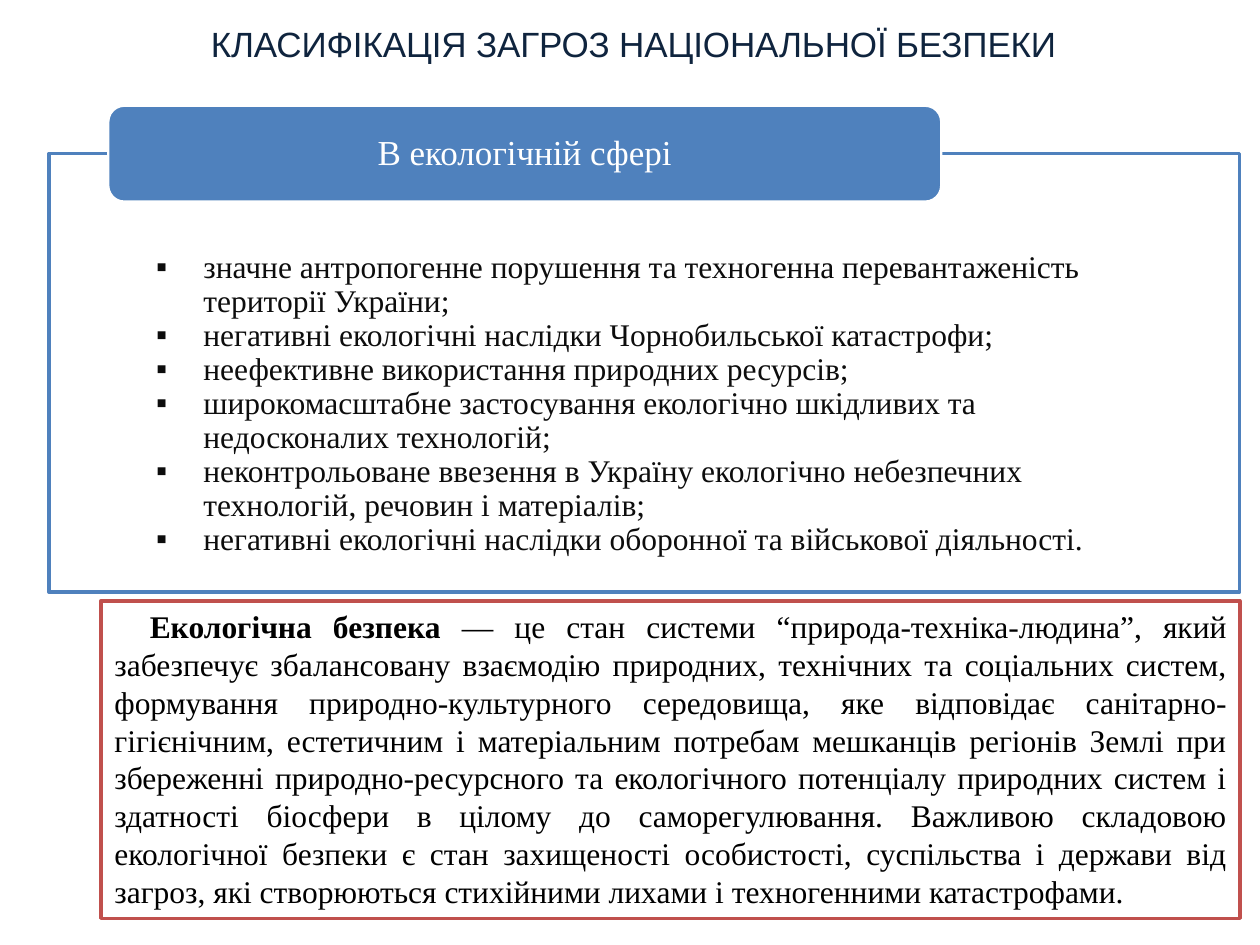
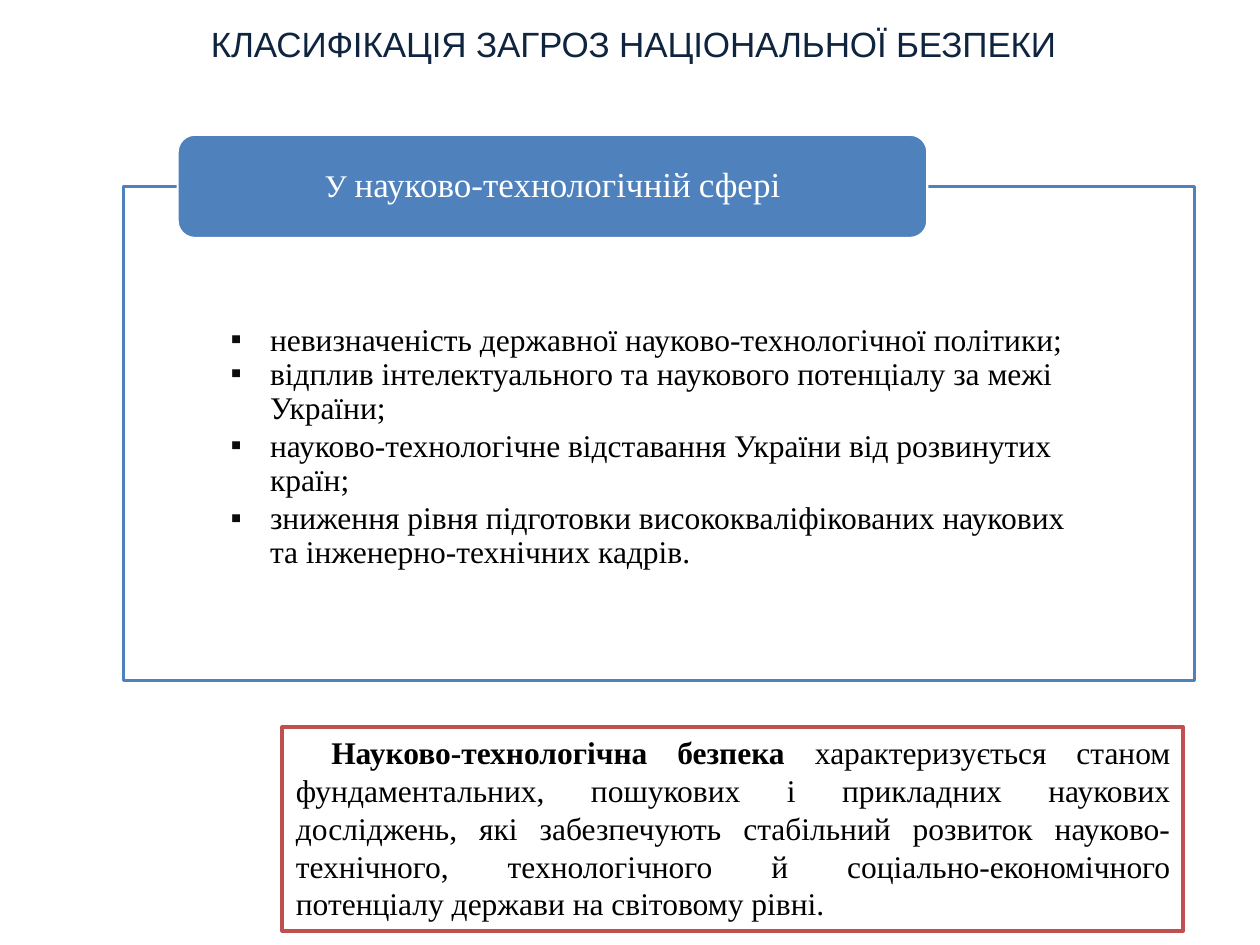
from dataclasses import dataclass

from lxml.etree import SubElement
from pptx import Presentation
from pptx.dml.color import RGBColor
from pptx.enum.shapes import MSO_SHAPE
from pptx.enum.text import MSO_ANCHOR, MSO_AUTO_SIZE, PP_ALIGN
from pptx.oxml.ns import qn
from pptx.util import Pt

COLORS = {
    "title": "0F243E",
    "blue": "4F81BD",
    "red": "C0504D",
    "white": "FFFFFF",
    "black": "000000",
    "soft_black": "0D0D0D",
    "bullet": "0C0C0C",
}
TITLE = "КЛАСИФІКАЦІЯ ЗАГРОЗ НАЦІОНАЛЬНОЇ БЕЗПЕКИ"
TITLE_FONT = "Arial"
BODY_FONT = "Times New Roman"
BODY_SIZE = 18
HEADING_SIZE = 20
LINE_SPACING = 0.9


@dataclass(frozen=True)
class Area:
    left: float
    top: float
    width: float
    height: float

    def lengths(self):
        return Pt(self.left), Pt(self.top), Pt(self.width), Pt(self.height)


@dataclass(frozen=True)
class Span:
    text: str
    size: float = BODY_SIZE
    color: str = "black"
    bold: bool = False
    font: str = BODY_FONT


@dataclass(frozen=True)
class Threat:
    text: str
    space_before: float = 0


@dataclass(frozen=True)
class Sphere:
    heading_area: Area
    heading: tuple[Span, ...]
    panel_area: Area
    panel_margins: tuple[float, float, float, float]
    threats: tuple[Threat, ...]
    threat_color: str
    hanging: float
    definition_area: Area
    term: str
    definition: str


SPHERES = (
    Sphere(
        heading_area=Area(61.9, 60.5, 475.9, 54.7),
        heading=(Span("В екологічній сфері", HEADING_SIZE, "white"),),
        panel_area=Area(28, 87.8, 680.4, 250.6),
        panel_margins=(61.2, 47.5, 61.2, 11.5),
        threats=(
            Threat("значне антропогенне порушення та техногенна перевантаженість території України;"),
            Threat("негативні екологічні наслідки Чорнобильської катастрофи;"),
            Threat("неефективне використання природних ресурсів;"),
            Threat("широкомасштабне застосування екологічно шкідливих та недосконалих технологій;"),
            Threat("неконтрольоване ввезення в Україну екологічно небезпечних технологій, речовин і матеріалів;"),
            Threat("негативні екологічні наслідки оборонної та військової діяльності."),
        ),
        threat_color="soft_black",
        hanging=27,
        definition_area=Area(57.6, 343.4, 650.9, 181.4),
        term="Екологічна безпека ",
        definition=(
            "— це стан системи “природа-техніка-людина”, який забезпечує збалансовану "
            "взаємодію природних, технічних та соціальних систем, формування "
            "природно-культурного середовища, яке відповідає санітарно-гігієнічним, "
            "естетичним і матеріальним потребам мешканців регіонів Землі при збереженні "
            "природно-ресурсного та екологічного потенціалу природних систем і здатності "
            "біосфери в цілому до саморегулювання. Важливою складовою екологічної безпеки "
            "є стан захищеності особистості, суспільства і держави від загроз, які "
            "створюються стихійними лихами і техногенними катастрофами."
        ),
    ),
    Sphere(
        heading_area=Area(101.5, 77, 428.4, 59),
        heading=(
            Span("У ", BODY_SIZE, "white"),
            Span("науково-технологічній", HEADING_SIZE, "white"),
            Span(" ", BODY_SIZE, "white"),
            Span("сфері", HEADING_SIZE, "white"),
        ),
        panel_area=Area(70.6, 106.6, 612, 282.2),
        panel_margins=(61.2, 46.1, 61.2, 30.4),
        threats=(
            Threat("невизначеність державної науково-технологічної політики;"),
            Threat("відплив інтелектуального та наукового потенціалу за межі України;"),
            Threat("науково-технологічне відставання України від розвинутих країн;", 2.5),
            Threat("зниження рівня підготовки висококваліфікованих наукових та інженерно-технічних кадрів.", 2.5),
        ),
        threat_color="black",
        hanging=22.5,
        definition_area=Area(161.3, 415.4, 514.8, 116.6),
        term="Науково-технологічна безпека ",
        definition=(
            "характеризується станом фундаментальних, пошукових і прикладних наукових "
            "досліджень, які забезпечують стабільний розвиток науково-технічного, "
            "технологічного й соціально-економічного потенціалу держави на світовому рівні."
        ),
    ),
)


def rgb(name: str) -> RGBColor:
    return RGBColor.from_string(COLORS[name])


def add_span(para, span: Span):
    run = para.add_run()
    run.text = span.text
    run.font.name = span.font
    run.font.size = Pt(span.size)
    run.font.bold = span.bold
    run.font.color.rgb = rgb(span.color)
    return run


def add_box(page, kind, area: Area, fill: str, line: str, line_width: float):
    box = page.shapes.add_shape(kind, *area.lengths())
    box.shadow.inherit = False
    box.fill.solid()
    box.fill.fore_color.rgb = rgb(fill)
    box.line.color.rgb = rgb(line)
    box.line.width = Pt(line_width)
    box.text_frame.word_wrap = True
    return box


def set_margins(frame, left: float, top: float, right: float, bottom: float) -> None:
    frame.margin_left, frame.margin_top = Pt(left), Pt(top)
    frame.margin_right, frame.margin_bottom = Pt(right), Pt(bottom)


def set_indent(para, margin: float, first_line: float):
    """Set the left margin and first-line indent; return the paragraph properties."""
    properties = para._p.get_or_add_pPr()
    properties.set("marL", str(Pt(margin)))
    properties.set("indent", str(Pt(first_line)))
    return properties


def add_bullet(para, hanging: float) -> None:
    properties = set_indent(para, hanging, -hanging)
    color = SubElement(properties, qn("a:buClr"))
    SubElement(color, qn("a:srgbClr"), val=COLORS["bullet"])
    SubElement(properties, qn("a:buFont"), typeface=BODY_FONT)
    SubElement(properties, qn("a:buChar"), char="▪")


def add_title(page) -> None:
    box = page.shapes.add_textbox(*Area(14.4, 9.4, 694.8, 31.7).lengths())
    frame = box.text_frame
    frame.word_wrap = True
    frame.auto_size = MSO_AUTO_SIZE.SHAPE_TO_FIT_TEXT
    para = frame.paragraphs[0]
    para.alignment = PP_ALIGN.CENTER
    run = add_span(para, Span(TITLE, HEADING_SIZE, "title", font=TITLE_FONT))
    run.font._element.set("spc", "-10")


def add_threat_panel(page, sphere: Sphere) -> None:
    box = add_box(page, MSO_SHAPE.RECTANGLE, sphere.panel_area, "white", "blue", 2)
    frame = box.text_frame
    frame.vertical_anchor = MSO_ANCHOR.MIDDLE
    set_margins(frame, *sphere.panel_margins)
    for index, threat in enumerate(sphere.threats):
        para = frame.add_paragraph() if index else frame.paragraphs[0]
        para.level = 1
        para.alignment = PP_ALIGN.LEFT
        para.line_spacing = LINE_SPACING
        para.space_before = Pt(threat.space_before)
        add_bullet(para, sphere.hanging)
        add_span(para, Span(threat.text, color=sphere.threat_color))


def add_heading(page, sphere: Sphere) -> None:
    box = add_box(page, MSO_SHAPE.ROUNDED_RECTANGLE, sphere.heading_area, "blue", "white", 1.25)
    frame = box.text_frame
    frame.vertical_anchor = MSO_ANCHOR.MIDDLE
    set_margins(frame, 23.5, 0, 23.5, 0)
    para = frame.paragraphs[0]
    para.alignment = PP_ALIGN.CENTER
    para.line_spacing = LINE_SPACING
    for span in sphere.heading:
        add_span(para, span)


def add_definition(page, sphere: Sphere) -> None:
    box = add_box(page, MSO_SHAPE.RECTANGLE, sphere.definition_area, "white", "red", 2)
    frame = box.text_frame
    frame.vertical_anchor = MSO_ANCHOR.TOP
    frame.auto_size = MSO_AUTO_SIZE.SHAPE_TO_FIT_TEXT
    para = frame.paragraphs[0]
    para.alignment = PP_ALIGN.JUSTIFY
    set_indent(para, 0.7, 20.2)
    add_span(para, Span(sphere.term, bold=True))
    add_span(para, Span(sphere.definition))


def main() -> None:
    deck = Presentation()
    deck.slide_width, deck.slide_height = Pt(720), Pt(540)
    blank = deck.slide_layouts[6]
    for sphere in SPHERES:
        page = deck.slides.add_slide(blank)
        add_title(page)
        add_threat_panel(page, sphere)
        add_heading(page, sphere)
        add_definition(page, sphere)
    deck.save("out.pptx")


if __name__ == "__main__":
    main()
